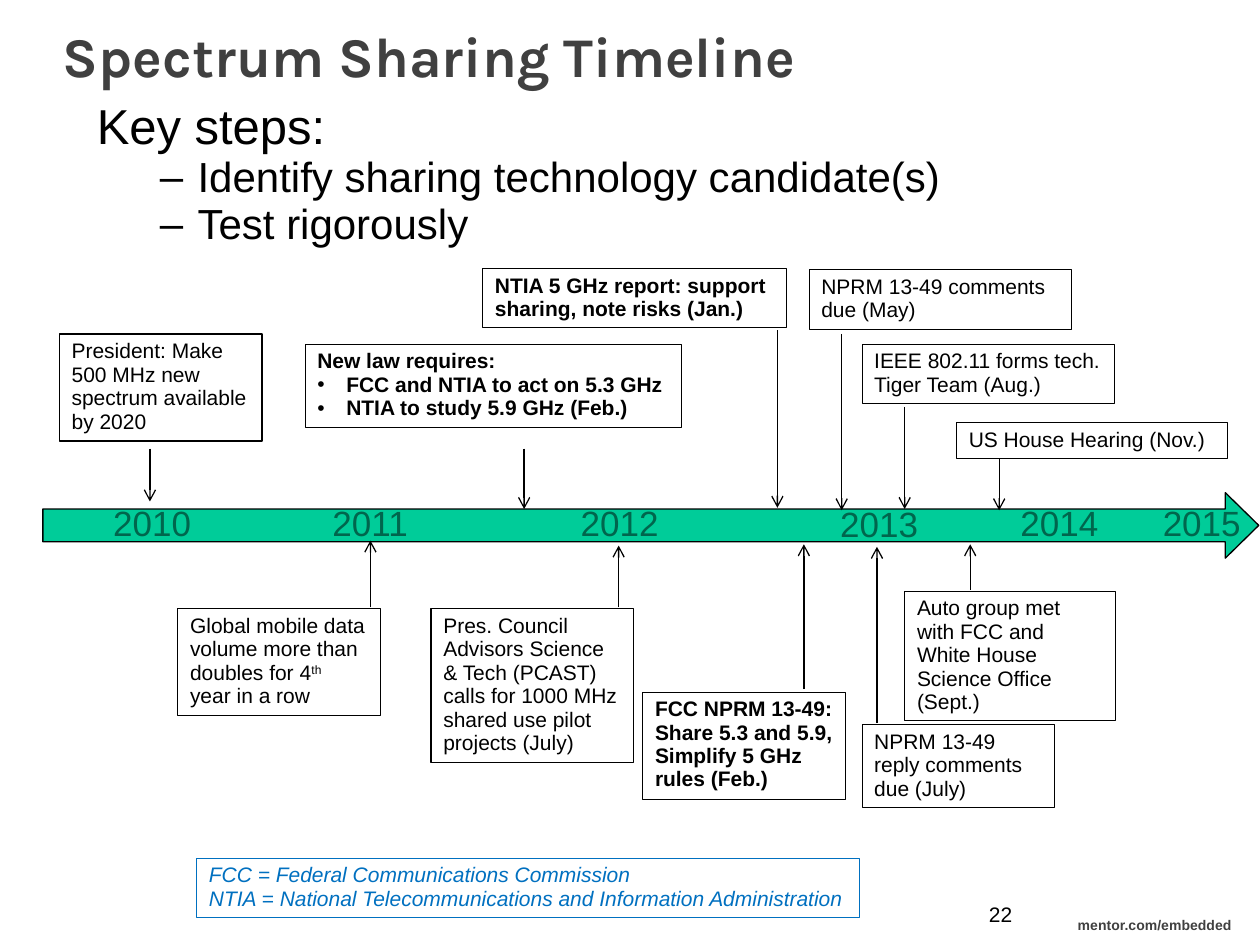
from lxml import etree
from pptx import Presentation
from pptx.dml.color import RGBColor
from pptx.enum.shapes import MSO_CONNECTOR as CONN, MSO_SHAPE as SHAPE
from pptx.enum.text import MSO_ANCHOR as ANCHOR, MSO_AUTO_SIZE as AUTO, PP_ALIGN as ALIGN
from pptx.oxml.ns import qn
from pptx.util import Inches, Pt

BLACK = RGBColor(0x00, 0x00, 0x00)
GRAY = RGBColor(0x40, 0x40, 0x40)
BLUE = RGBColor(0x00, 0x70, 0xC0)
GREEN = RGBColor(0x00, 0xCC, 0x99)
DARK_GREEN = RGBColor(0x00, 0x66, 0x4D)

YEARS = [("2010", 0.8, 3.96), ("2011", 2.54, 3.96), ("2012", 4.51, 3.96),
         ("2013", 6.57, 3.97), ("2014", 8, 3.96), ("2015", 9.13, 3.96)]

# box, border width, bold, paragraphs, arrow (x, start y, end y)
EVENTS = [
    ((0.47, 2.65, 1.61, 0.85), 0.75, False,
     ["President: Make 500 MHz new spectrum available by 2020"], (1.19, 3.56, 3.98)),
    ((1.41, 4.83, 1.61, 0.85), 0.25, False,
     ["Global mobile data volume more than doubles for 4^th^ year in a row"],
     (2.94, 4.82, 4.29)),
    ((2.42, 2.73, 2.99, 0.66), 0.25, True,
     ["New law requires:", "•FCC and NTIA to act on 5.3 GHz",
      "•NTIA to study 5.9 GHz (Feb.)"], (4.16, 3.56, 4.04)),
    ((3.42, 4.83, 1.61, 1.22), 0.75, False,
     ["Pres. Council Advisors Science & Tech (PCAST) calls for 1000 MHz "
      "shared use pilot projects (July)"], (4.91, 4.82, 4.33)),
    ((3.83, 2.13, 2.41, 0.47), 0.25, True,
     ["NTIA 5 GHz report: support sharing, note risks (Jan.)"], (6.17, 2.62, 4.03)),
    ((5.1, 5.49, 1.61, 0.85), 0.25, True,
     ["FCC NPRM 13-49:", "Share 5.3 and 5.9,", "Simplify 5 GHz rules (Feb.)"],
     (6.38, 5.47, 4.32)),
    ((6.42, 2.14, 2.08, 0.47), 0.25, False,
     ["NPRM 13-49 comments due (May)"], (6.68, 2.65, 4.05)),
    ((6.84, 5.75, 1.53, 0.66), 0.25, False,
     ["NPRM 13-49 reply comments due (July)"], (6.96, 5.74, 4.34)),
    ((6.84, 2.73, 2, 0.47), 0.25, False,
     ["IEEE 802.11 forms tech. Tiger Team (Aug.)"], (7.18, 3.23, 4.04)),
    ((7.18, 4.69, 1.67, 1.03), 0.25, False,
     ["Auto group met with FCC and White House Science Office (Sept.)"],
     (7.7, 4.68, 4.32)),
    ((7.59, 3.35, 2.15, 0.29), 0.25, False,
     ["US House Hearing (Nov.)"], (7.93, 3.64, 4.05)),
]


def inches(box):
    """Convert a box of numbers to lengths."""
    return [Inches(v) for v in box]


def set_bullet(p, char, margin, hang):
    """Give a paragraph a hanging bullet."""
    pPr = p._p.get_or_add_pPr()
    pPr.set("marL", str(Inches(margin)))
    pPr.set("indent", str(-Inches(hang)))
    etree.SubElement(pPr, qn("a:buFont")).set("typeface", "Arial")
    etree.SubElement(pPr, qn("a:buChar")).set("char", char)


def add_runs(p, text, size, color, font="Arial", bold=False, italic=False):
    """Fill a paragraph, raising the parts between carets."""
    for i, part in enumerate(text.split("^")):
        r = p.add_run()
        r.text = part
        f = r.font
        f.name, f.size, f.bold, f.italic = font, Pt(size), bold, italic
        f.color.rgb = color
        if i % 2:
            r._r.get_or_add_rPr().set("baseline", "30000")


def fill_text(sp, paragraphs, size, color, wrap=True, spacing=0.93, **style):
    """Write paragraphs into a shape, bulleting those that start with a mark."""
    tf = sp.text_frame
    tf.word_wrap = wrap
    tf.vertical_anchor = ANCHOR.TOP
    for i, text in enumerate(paragraphs):
        p = tf.add_paragraph() if i else tf.paragraphs[0]
        p.alignment = ALIGN.LEFT
        p.line_spacing = spacing
        if text.startswith("•"):
            set_bullet(p, "•", 0.23, 0.23)
        elif text.startswith("–"):
            p.level = 1
            set_bullet(p, "–", 0.8, 0.3)
        add_runs(p, text.lstrip("•–"), 24 if p.level else size, color, **style)
    return tf


def add_text(s, box, paragraphs, size, color, **style):
    """Place a plain text box."""
    return fill_text(s.shapes.add_textbox(*inches(box)), paragraphs, size, color, **style)


def add_note(s, box, paragraphs, color, width, **style):
    """Place an outlined box of 12-point text."""
    sp = s.shapes.add_shape(SHAPE.RECTANGLE, *inches(box))
    sp.shadow.inherit = False
    sp.fill.background()
    sp.line.color.rgb = color
    sp.line.width = Pt(width)
    tf = fill_text(sp, paragraphs, 12, color, **style)
    tf.auto_size = AUTO.SHAPE_TO_FIT_TEXT


def add_arrow(s, x, start, end):
    """Draw a vertical arrow from an event to the timeline."""
    c = s.shapes.add_connector(CONN.STRAIGHT, *inches((x, start, x, end)))
    c.line.color.rgb = BLACK
    c.line.width = Pt(0.75)
    etree.SubElement(c.line._get_or_add_ln(), qn("a:tailEnd")).set("type", "arrow")
    etree.SubElement(c._element.spPr, qn("a:effectLst"))


def add_header(s, box):
    """Place the title and the key steps below it."""
    x, y, w, h = box
    tf = add_text(s, (x, y, w, 0.75), ["Spectrum Sharing Timeline"], 32, GRAY,
                  font="Karla", bold=True, spacing=1.0)
    tf.vertical_anchor = ANCHOR.BOTTOM
    tf.margin_left = tf.margin_right = Inches(0.5)
    steps = ["Key steps:", "–Identify sharing technology candidate(s)", "–Test rigorously"]
    add_text(s, (x + 0.67, y + 0.75, 8.74, h - 0.75), steps, 28, BLACK)


def add_timeline(s, box):
    """Draw the year arrow with its events."""
    sp = s.shapes.add_shape(SHAPE.RIGHT_ARROW, *inches(box))
    sp.shadow.inherit = False
    sp.adjustments[0], sp.adjustments[1] = 0.5, 0.51
    sp.fill.solid()
    sp.fill.fore_color.rgb = GREEN
    sp.line.color.rgb = BLACK
    sp.line.width = Pt(0.75)
    for year, x, y in YEARS:
        add_text(s, (x, y, 0.82, 0.41), [year], 20, DARK_GREEN, wrap=False)
    for note, width, bold, paragraphs, arrow in EVENTS:
        add_arrow(s, *arrow)
        add_note(s, note, paragraphs, BLACK, width, bold=bold)


def add_footer(s, box):
    """Place the glossary, page number and web address."""
    x, y, w, h = box
    glossary = ["FCC = Federal Communications Commission",
                "NTIA = National Telecommunications and Information Administration"]
    add_note(s, (x, y, 5.26, 0.47), glossary, BLUE, 0.25, wrap=False, italic=True)
    tf = add_text(s, (x + 6.19, y + 0.31, 0.41, 0.25), ["22"], 12, BLACK)
    tf.margin_right = Inches(0.01)
    tf = add_text(s, (x + w - 1.33, y + h - 0.26, 1.33, 0.26), ["mentor.com/embedded"],
                  8, GRAY, bold=True)
    tf.margin_left = tf.margin_right = 0
    tf.paragraphs[0].alignment = ALIGN.CENTER


def main():
    """Build the slide and save it."""
    prs = Presentation()
    prs.slide_width, prs.slide_height = Inches(10), Inches(7.5)
    s = prs.slides.add_slide(prs.slide_layouts[6])
    add_header(s, (0, 0, 10, 2.03))
    add_timeline(s, (0.34, 3.91, 9.65, 0.52))
    add_footer(s, (1.56, 6.81, 8.27, 0.69))
    prs.save("out.pptx")


if __name__ == "__main__":
    main()
